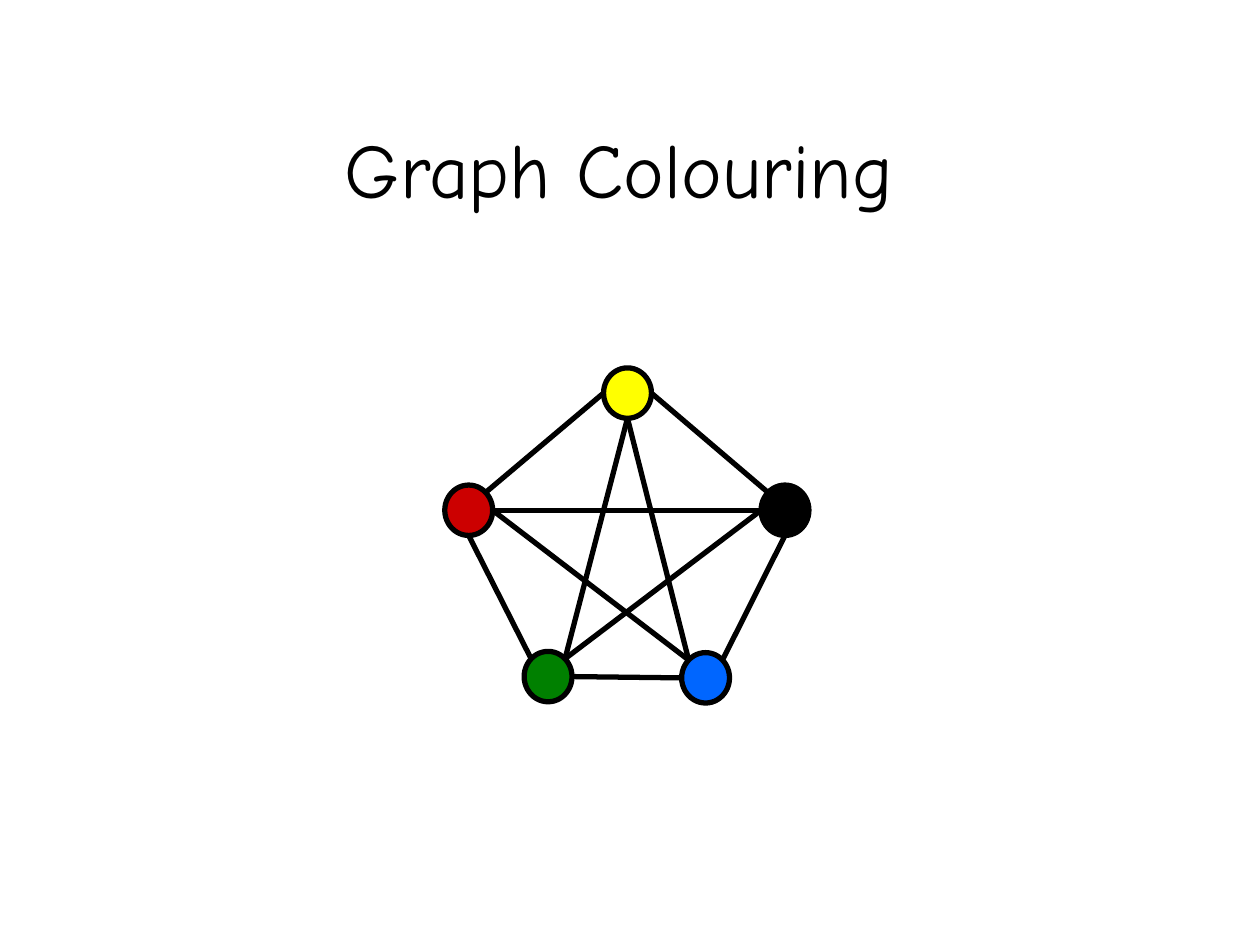
from dataclasses import dataclass
from math import cos, radians, sin

from lxml.etree import SubElement
from pptx import Presentation
from pptx.dml.color import RGBColor
from pptx.enum.shapes import MSO_CONNECTOR, MSO_SHAPE
from pptx.enum.text import MSO_ANCHOR, PP_ALIGN
from pptx.oxml.ns import qn
from pptx.util import Inches, Pt


@dataclass(frozen=True)
class Theme:
    font: str = "Comic Neue"
    title_size: int = 44
    line_width: int = 3
    ink: str = "000000"
    green: str = "008000"
    red: str = "CC0000"
    yellow: str = "FFFF00"
    blue: str = "0066FF"


THEME = Theme()
NODE_WIDTH, NODE_HEIGHT = 0.38, 0.40

# Graph nodes: left, top, colour
NODES = {
    "green": (4.16, 5.17, THEME.green),
    "red": (3.53, 3.85, THEME.red),
    "black": (6.04, 3.85, THEME.ink),
    "yellow": (4.79, 2.92, THEME.yellow),
    "blue": (5.41, 5.18, THEME.blue),
}

# Points on a node's rim, in degrees clockwise from the right
RIM = {"right": 0, "lower right": 45, "bottom": 90, "left": 180,
       "upper left": 225, "upper right": 315}

# Every pair of nodes is joined, from rim point to rim point
EDGES = [
    ("green", "right", "blue", "left"),
    ("yellow", "right", "black", "upper left"),
    ("black", "bottom", "blue", "upper right"),
    ("yellow", "left", "red", "upper right"),
    ("red", "bottom", "green", "upper left"),
    ("yellow", "bottom", "blue", "upper left"),
    ("yellow", "bottom", "green", "upper right"),
    ("red", "right", "black", "left"),
    ("blue", "upper left", "red", "right"),
    ("green", "upper right", "black", "left"),
]


def rim_point(node, side):
    left, top, _ = NODES[node]
    angle = radians(RIM[side])
    return (Inches(left + NODE_WIDTH / 2 * (1 + cos(angle))),
            Inches(top + NODE_HEIGHT / 2 * (1 + sin(angle))))


class GraphSlide:
    def __init__(self, slide, theme):
        self.slide = slide
        self.theme = theme
        self.graph = slide.shapes.add_group_shape()

    def title(self, text, left, top, width, height):
        title = self.slide.shapes.title
        title.left, title.top = Inches(left), Inches(top)
        title.width, title.height = Inches(width), Inches(height)
        frame = title.text_frame
        frame.text = text
        frame.word_wrap = True
        frame.vertical_anchor = MSO_ANCHOR.MIDDLE
        heading = frame.paragraphs[0]
        heading.alignment = PP_ALIGN.CENTER
        font = heading.runs[0].font
        font.name = self.theme.font
        font.size = Pt(self.theme.title_size)
        font.color.rgb = RGBColor.from_string(self.theme.ink)

    def outline(self, line):
        line.color.rgb = RGBColor.from_string(self.theme.ink)
        line.width = Pt(self.theme.line_width)

    def node(self, left, top, colour):
        node = self.graph.shapes.add_shape(
            MSO_SHAPE.OVAL, Inches(left), Inches(top),
            Inches(NODE_WIDTH), Inches(NODE_HEIGHT))
        node.shadow.inherit = False
        node.fill.solid()
        node.fill.fore_color.rgb = RGBColor.from_string(colour)
        self.outline(node.line)

    def edge(self, start, end):
        edge = self.graph.shapes.add_connector(
            MSO_CONNECTOR.STRAIGHT, *start, *end)
        self.outline(edge.line)
        SubElement(edge._element.spPr, qn("a:effectLst"))


def main():
    deck = Presentation()
    deck.slide_width, deck.slide_height = Inches(10), Inches(7.5)
    title_only = deck.slide_layouts[5]
    page = GraphSlide(deck.slides.add_slide(title_only), THEME)

    # Title
    page.title("Graph Colouring", 0.25, 0.83, 9.33, 1)

    # Complete graph on five colours
    for node in NODES.values():
        page.node(*node)
    for start, start_side, end, end_side in EDGES:
        page.edge(rim_point(start, start_side), rim_point(end, end_side))

    deck.save("out.pptx")


if __name__ == "__main__":
    main()
